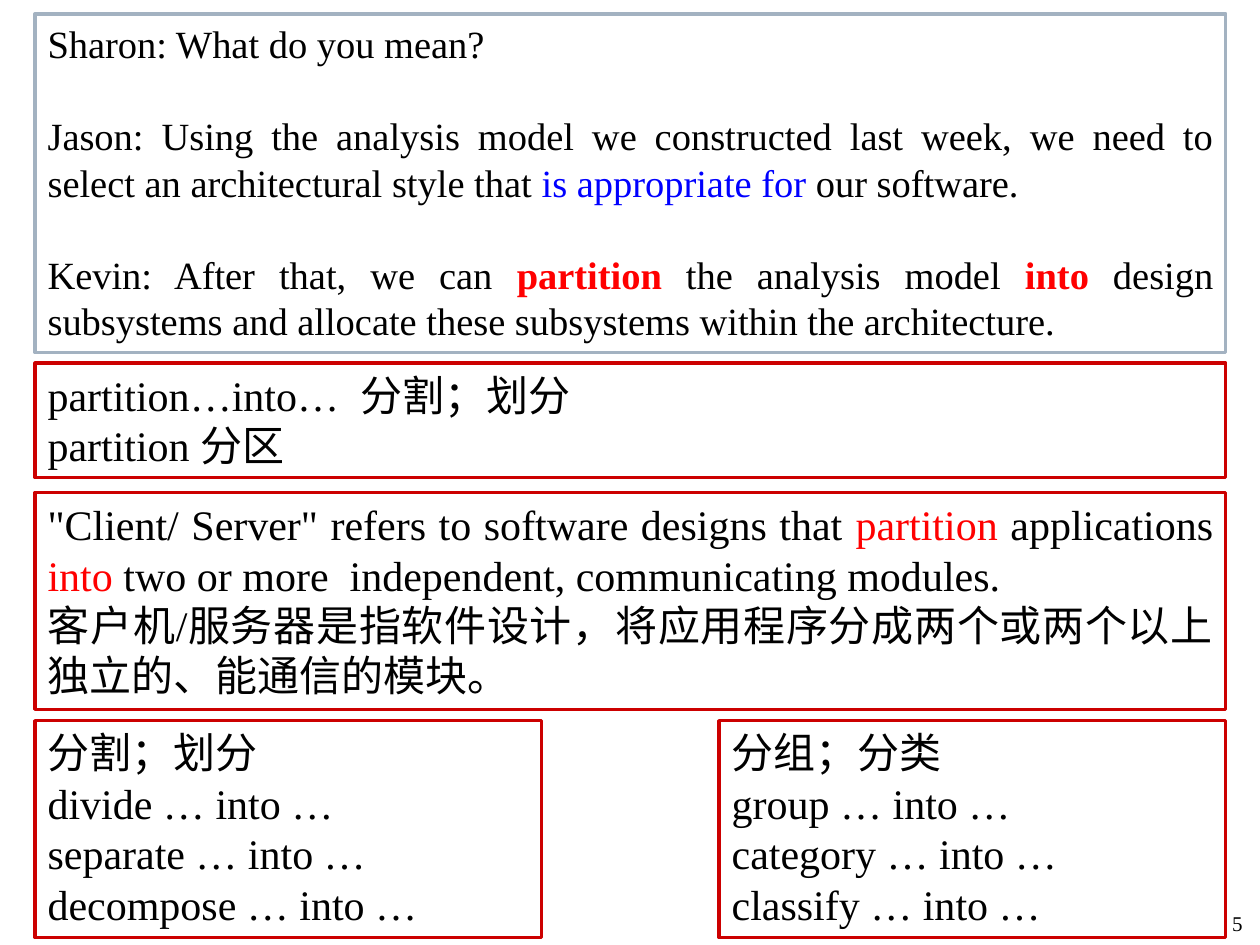
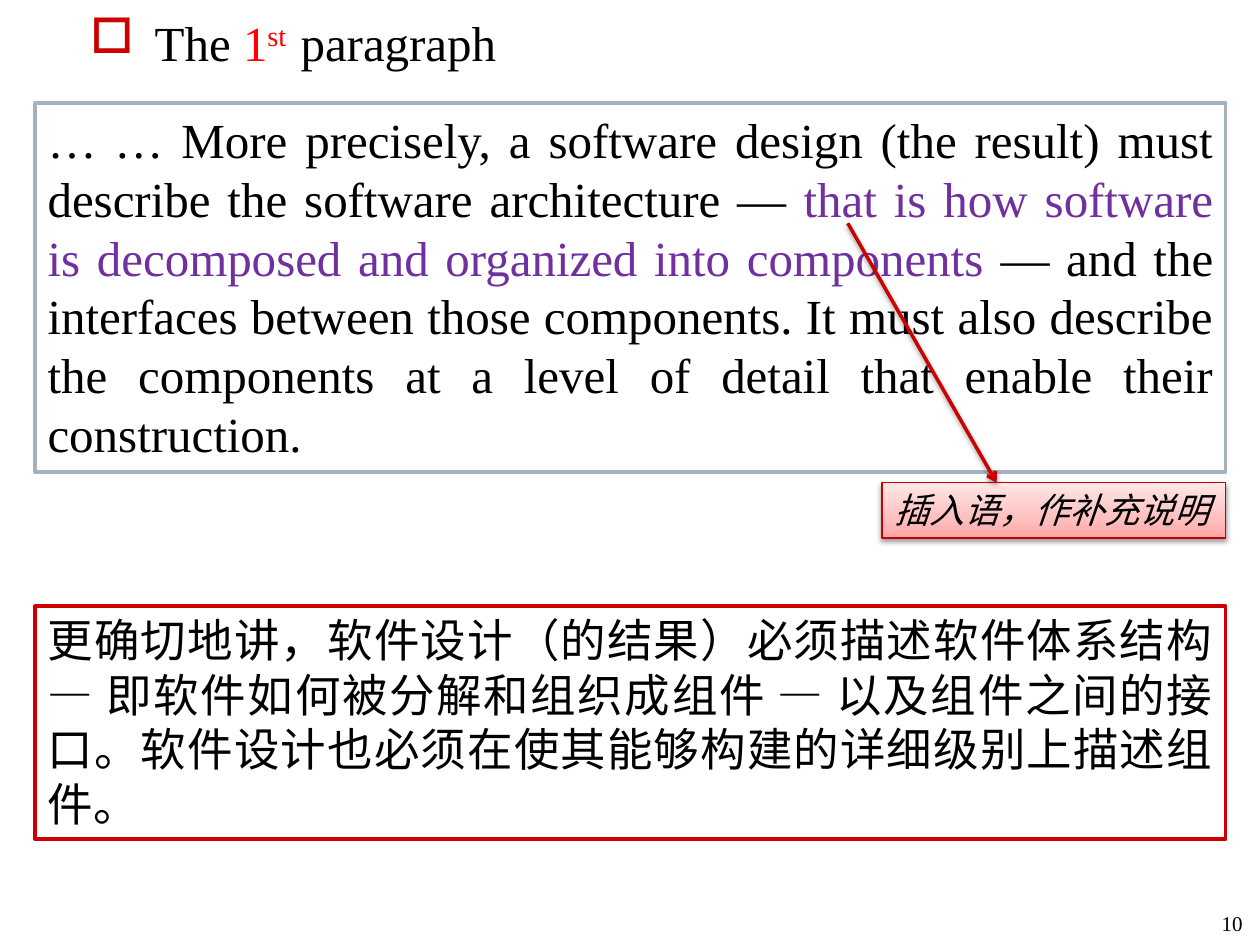
from lxml import etree
from pptx import Presentation
from pptx.dml.color import RGBColor
from pptx.enum.shapes import MSO_CONNECTOR, MSO_SHAPE
from pptx.enum.text import MSO_ANCHOR, MSO_AUTO_SIZE, PP_ALIGN
from pptx.oxml.ns import qn
from pptx.util import Cm, Pt

RECT, STRAIGHT = MSO_SHAPE.RECTANGLE, MSO_CONNECTOR.STRAIGHT
LEFT, RIGHT, JUSTIFY = PP_ALIGN.LEFT, PP_ALIGN.RIGHT, PP_ALIGN.JUSTIFY
TOP, BOTTOM = MSO_ANCHOR.TOP, MSO_ANCHOR.BOTTOM
GROW = MSO_AUTO_SIZE.SHAPE_TO_FIT_TEXT

FONT = "Times New Roman"
COLORS = {
    "text": "000000", "paper": "FFFFFF", "quote": "A3B2C1", "note": "CC0000",
    "blue": "0000FF", "red": "FF0000", "purple": "7030A0", "callout": "C80000",
}
CALLOUT_STOPS = [(0, "FFA5A5"), (35, "FFBFBF"), (100, "FFE7E7")]
MARGIN, FULL, HALF = 0.71, 24.0, 10.21
RIGHT_EDGE = MARGIN + FULL


def rgb(name):
    return RGBColor.from_string(COLORS[name])


def add_xml(parent, tag, **attrs):
    return etree.SubElement(parent, qn(tag), {k: str(v) for k, v in attrs.items()})


def write(shape, paragraphs, size, align=LEFT, anchor=TOP, gap=0, italic=None, wrap=True):
    """Fill a shape; a paragraph is a string or a list of strings and (text, format) pairs."""
    tf = shape.text_frame
    tf.word_wrap = wrap
    tf.vertical_anchor = anchor
    for i, parts in enumerate(paragraphs):
        p = tf.paragraphs[0] if i == 0 else tf.add_paragraph()
        p.alignment = align
        if gap and i:
            p.space_before = Pt(gap)
        for part in [parts] if isinstance(parts, str) else parts:
            text, fmt = (part, {}) if isinstance(part, str) else part
            r = p.add_run()
            r.text = text
            r.font.name, r.font.size = FONT, Pt(size)
            r.font.italic, r.font.bold = italic, fmt.get("bold")
            r.font.color.rgb = rgb(fmt.get("color", "text"))
            if fmt.get("raised"):
                r.font._element.set("baseline", "30000")
    return tf


def add_effects(shape, shadow=False):
    """Give an explicit effect list: empty, or a soft shadow straight below."""
    sp_pr = shape._element.spPr
    effects = add_xml(sp_pr, "a:effectLst")
    if shadow:
        outer = add_xml(effects, "a:outerShdw", blurRad=Pt(3.1), dist=Pt(1.6),
                        dir=5400000, rotWithShape=0)
        add_xml(add_xml(outer, "a:srgbClr", val=COLORS["text"]), "a:alpha", val=38000)


def add_box(slide, left, top, width, height, line, weight=2.0, shadow=False):
    sp = slide.shapes.add_shape(RECT, Cm(left), Cm(top), Cm(width), Cm(height))
    sp.fill.solid()
    sp.fill.fore_color.rgb = rgb("paper")
    sp.line.color.rgb = rgb(line)
    sp.line.width = Pt(weight)
    add_effects(sp, shadow)
    sp.text_frame.auto_size = GROW
    return sp


def add_quote(slide, top, height, paragraphs, size, **fmt):
    sp = add_box(slide, MARGIN, top, FULL, height, "quote")
    write(sp, paragraphs, size, align=JUSTIFY, **fmt)


def add_note(slide, top, height, paragraphs, size=24, left=MARGIN, width=FULL, align=LEFT):
    write(add_box(slide, left, top, width, height, "note"), paragraphs, size, align=align)


def add_callout(slide, left, top, width, height, text):
    sp = add_box(slide, left, top, width, height, "callout", weight=0.75, shadow=True)
    sp.fill.gradient()
    sp.fill.gradient_angle = 90
    stops = next(sp._element.spPr.iter(qn("a:gsLst")))
    for gs in list(stops):
        stops.remove(gs)
    for percent, color in CALLOUT_STOPS:
        add_xml(add_xml(stops, "a:gs", pos=percent * 1000), "a:srgbClr", val=color)
    write(sp, [text], 20, italic=True, wrap=False)


def add_arrow(slide, x1, y1, x2, y2):
    line = slide.shapes.add_connector(STRAIGHT, Cm(x1), Cm(y1), Cm(x2), Cm(y2))
    line.line.color.rgb = rgb("note")
    line.line.width = Pt(2)
    add_xml(line.line._get_or_add_ln(), "a:tailEnd", type="arrow")
    add_effects(line, shadow=True)


def add_heading(slide, parts):
    box = slide.shapes.add_textbox(Cm(1.57), Cm(0.13), Cm(22.22), Cm(13.79))
    p = write(box, [parts], 28).paragraphs[0]
    p.space_before = Pt(2.8)
    p_pr = p._p.get_or_add_pPr()
    p_pr.set("marL", str(Cm(1.3)))
    p_pr.set("indent", str(-Cm(1.3)))
    add_xml(add_xml(p_pr, "a:buClr"), "a:srgbClr", val=COLORS["note"])
    add_xml(p_pr, "a:buChar", char="□")


def add_page_number(slide, number):
    box = slide.shapes.add_textbox(Cm(23.8), Cm(17.53), Cm(1.5), Cm(1.45))
    write(box, [str(number)], 12, align=RIGHT, anchor=BOTTOM)


def build_partition_slide(slide):
    red, key = {"color": "red"}, {"color": "red", "bold": True}
    add_page_number(slide, 5)
    add_quote(slide, 0.28, 6.83, [
        "Sharon: What do you mean?",
        ["Jason: Using the analysis model we constructed last week, we need to "
         "select an architectural style that ",
         ("is appropriate for", {"color": "blue"}), " our software. "],
        ["Kevin: After that, we can ", ("partition", key), " the analysis model ",
         ("into", key), " design subsystems and allocate these subsystems "
         "within the architecture."],
    ], 22, gap=26.4)
    add_note(slide, 7.32, 2.31, ["partition…into…  分割；划分", "partition 分区"])
    add_note(slide, 9.93, 4.37, [
        ['"Client/ Server" refers to software designs that ', ("partition", red),
         " applications ", ("into", red),
         " two or more  independent, communicating modules. "],
        "客户机/服务器是指软件设计，将应用程序分成两个或两个以上独立的、能通信的模块。",
    ], align=JUSTIFY)
    synonyms = [
        (MARGIN, "分割；划分", ["divide", "separate", "decompose"]),
        (RIGHT_EDGE - HALF, "分组；分类", ["group", "category", "classify"]),
    ]
    for left, meaning, verbs in synonyms:
        add_note(slide, 14.53, 4.37, [meaning] + [f"{verb} … into …" for verb in verbs],
                 left=left, width=HALF)


def build_paragraph_slide(slide):
    add_heading(slide, ["The ", ("1", {"color": "red"}),
                        ("st  ", {"color": "red", "raised": True}), "paragraph"])
    add_page_number(slide, 10)
    add_quote(slide, 2.08, 7.44, [[
        "… … More precisely, a software design (the result) must describe "
        "the software architecture — ",
        ("that is how software is decomposed and organized into components ",
         {"color": "purple"}),
        "— and the interfaces between those components. It must also describe "
        "the components at a level of detail that enable their construction.",
    ]], 28)
    add_note(slide, 12.22, 4.7, [
        "更确切地讲，软件设计（的结果）必须描述软件体系结构— 即软件如何被分解和组织成组件 — 以及组件之间的接口。"
        "软件设计也必须在使其能够构建的详细级别上描述组件。",
    ], size=26, align=JUSTIFY)
    add_callout(slide, RIGHT_EDGE - 6.93, 9.73, 6.93, 1.12, "插入语，作补充说明")
    add_arrow(slide, 17.09, 4.5, 20.09, 9.73)


def main():
    prs = Presentation()
    prs.slide_width, prs.slide_height = Cm(25.4), Cm(19.05)
    for build in (build_partition_slide, build_paragraph_slide):
        build(prs.slides.add_slide(prs.slide_layouts[6]))
    prs.save("out.pptx")


if __name__ == "__main__":
    main()
